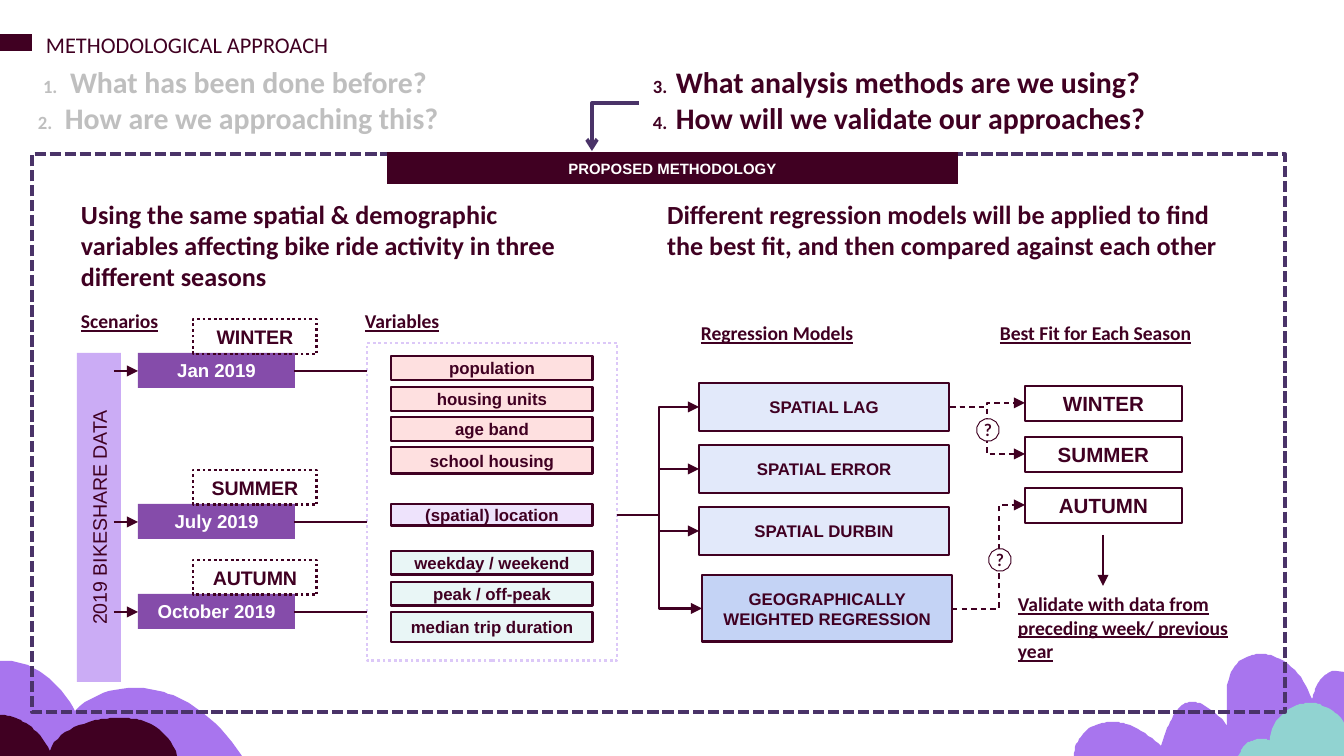
import pptx
import pptx.util
from lxml import etree
from pptx.dml.color import RGBColor
from pptx.enum.dml import MSO_LINE
from pptx.enum.shapes import MSO_CONNECTOR, MSO_SHAPE
from pptx.enum.text import MSO_ANCHOR, MSO_AUTO_SIZE, PP_ALIGN
from pptx.oxml.ns import qn

PX = 914400 / 134.4
COLORS = {
    "ink": "400022", "white": "FFFFFF", "muted": "BFBFBF", "indigo": "4A3368",
    "lilac": "A875EE", "teal": "91D3D1", "data": "CBACF5", "month": "854CAA",
    "outline": "DCC8F8", "pink": "FEE0E0", "mint": "E9F6F6", "lavender": "EEE3FC",
    "model": "E2E9FA", "chosen": "C4D3F5",
}

# Clouds: a start, then corners (x, y) or Bezier curves (control, control, end)
CLOUDS = [
    ("lilac", [(0, 661), (0, 756), (242, 756),
               ((226, 732), (207, 712), (181, 699)), ((168, 692), (151, 688), (134, 688)),
               ((113, 688), (91, 694), (75, 711)), ((67, 696), (56, 683), (42, 673)),
               ((31, 665), (17, 661), (5, 661))]),
    ("lilac", [(1261, 654), ((1269, 654), (1277, 657), (1284, 661)),
               ((1297, 669), (1306, 684), (1312, 699)), ((1314, 692), (1316, 685), (1320, 680)),
               ((1324, 675), (1329, 671), (1336, 671)), (1344, 672), (1344, 756), (1074, 756),
               ((1074, 745), (1079, 737), (1087, 730)), ((1094, 724), (1103, 722), (1113, 722)),
               ((1118, 722), (1122, 723), (1126, 724)), ((1140, 728), (1151, 737), (1161, 746)),
               ((1164, 735), (1168, 726), (1173, 716)), ((1177, 710), (1181, 704), (1187, 703)),
               ((1192, 701), (1197, 702), (1202, 704)), ((1212, 710), (1221, 716), (1227, 726)),
               ((1227, 715), (1226, 703), (1227, 692)), ((1227, 681), (1231, 669), (1239, 661)),
               ((1246, 657), (1253, 654), (1261, 654))]),
    ("ink", [(0, 715), (0, 756), (177, 756),
             ((173, 739), (159, 726), (141, 720)), ((134, 719), (128, 718), (120, 718)),
             ((109, 718), (98, 719), (89, 722)), ((73, 727), (55, 735), (50, 751)),
             ((44, 739), (36, 730), (26, 723)), ((17, 718), (9, 715), (0, 715))]),
    ("teal", [(1310, 703), ((1305, 703), (1299, 704), (1293, 707)),
              ((1279, 714), (1269, 727), (1270, 741)), ((1267, 739), (1265, 739), (1261, 739)),
              ((1257, 739), (1251, 741), (1247, 743)), ((1243, 746), (1241, 751), (1238, 756)),
              (1344, 756), (1344, 723), ((1340, 715), (1332, 709), (1322, 706)),
              ((1320, 704), (1316, 703), (1310, 703))]),
]

# number, question, left margin of the question, hanging width of the number
DONE_QUESTIONS = [("1.", "What has been done before?", 41, 27),
                  ("2.", "How are we approaching this?", 36, 27)]
OPEN_QUESTIONS = [("3.", "What analysis methods are we using?", 33, 23),
                  ("4.", "How will we validate our approaches?", 33, 23)]

# text, left, top, width, size, bold, underlined
NOTES = [
    ("METHODOLOGICAL APPROACH", 46, 31, 600, 12, False, False),
    ("Using the same spatial & demographic variables affecting bike ride activity in three "
     "different seasons", 81, 198, 498, 14, True, False),
    ("Different regression models will be applied to find the best fit, and then compared "
     "against each other", 667, 198, 564, 14, True, False),
    ("Scenarios", 81, 309, 120, 10.5, True, True),
    ("Variables", 365, 309, 250, 10.5, True, True),
    ("Regression Models", 701, 321, 250, 10.5, True, True),
    ("Best Fit for Each Season", 1000, 321, 240, 10.5, True, True),
    ("Validate with data from preceding week/ previous year", 1018, 592, 213, 10.5, True, True),
]

SCENARIOS = [("WINTER", "Jan 2019", 353), ("SUMMER", "July 2019", 504),
             ("AUTUMN", "October 2019", 594)]
VARIABLES = [  # text, top, height, fill
    ("population", 356, 24, "pink"), ("housing units", 387, 24, "pink"),
    ("age band", 417, 24, "pink"), ("school housing", 447, 27, "pink"),
    ("(spatial) location", 504, 22, "lavender"), ("weekday / weekend", 551, 24, "mint"),
    ("peak / off-peak", 582, 24, "mint"), ("median trip duration", 612, 30, "mint"),
]
MODELS = [  # text, left, top, height, fill
    ("SPATIAL LAG", 699, 383, 48, "model"), ("SPATIAL ERROR", 699, 445, 48, "model"),
    ("SPATIAL DURBIN", 699, 507, 48, "model"),
    ("GEOGRAPHICALLY WEIGHTED REGRESSION", 702, 575, 67, "chosen"),
]
BEST_FITS = [("WINTER", 386), ("SUMMER", 437), ("AUTUMN", 488)]
MODEL_FITS = [(950, 407, 403, 987), (950, 407, 454, 987), (952, 609, 505, 999)]
DOUBTS = [(977, 419), (989, 549)]

deck = pptx.Presentation()


def px(length):
    return pptx.util.Emu(round(length * PX))


deck.slide_width, deck.slide_height = px(1344), px(756)
slide = deck.slides.add_slide(deck.slide_layouts[5])
shapes = slide.shapes


def rgb(name):
    return RGBColor.from_string(COLORS[name])


def style_font(font, name, size, color, bold=True, underline=False):
    font.name, font.bold = name, bold
    font.color.rgb = rgb(color)
    if size:
        font.size = pptx.util.Pt(size)
    if underline:
        font.underline = True


def style_line(line, color, width, dash=None, head=None):
    line.color.rgb = rgb(color)
    line.width = pptx.util.Pt(width)
    if dash:
        line.dash_style = dash
    if head:
        etree.SubElement(line._get_or_add_ln(), qn("a:tailEnd"), type=head)


def frame_text(shape, anchor):
    frame = shape.text_frame
    frame.auto_size, frame.word_wrap, frame.vertical_anchor = MSO_AUTO_SIZE.NONE, True, anchor
    frame.margin_left = frame.margin_right = frame.margin_top = frame.margin_bottom = 0
    return frame


def box(left, top, width, height, fill=None, line=None, text="", size=9, color="ink",
        font="Arial", bold=True, kind=MSO_SHAPE.RECTANGLE):
    """Add a shape; line is (color, width, dash)."""
    shape = shapes.add_shape(kind, px(left), px(top), px(width), px(height))
    shape.shadow.inherit = False
    if fill:
        shape.fill.solid()
        shape.fill.fore_color.rgb = rgb(fill)
    else:
        shape.fill.background()
    if line:
        style_line(shape.line, *line)
    else:
        shape.line.fill.background()
    if text:
        paragraph = frame_text(shape, MSO_ANCHOR.MIDDLE).paragraphs[0]
        paragraph.text, paragraph.alignment = text, PP_ALIGN.CENTER
        style_font(paragraph.font, font, size, color, bold)
    return shape


def connect(x1, y1, x2, y2, bend=None, width=1.5, dash=None, head="triangle"):
    """Join two points, straight or with an elbow whose upright is at x = bend."""
    kind = MSO_CONNECTOR.ELBOW if bend else MSO_CONNECTOR.STRAIGHT
    link = shapes.add_connector(kind, px(x1), px(y1), px(x2), px(y2))
    style_line(link.line, "ink", width, dash, head)
    etree.SubElement(link.element.spPr, qn("a:effectLst"))
    if bend:
        share = round((bend - x1) / (x2 - x1) * 100000)
        guides = link.element.spPr.find(qn("a:prstGeom")).get_or_add_avLst()
        etree.SubElement(guides, qn("a:gd"), name="adj1", fmla=f"val {share}")


def freeform(points, closed):
    builder = shapes.build_freeform(*points[0], scale=PX)
    builder.add_line_segments(points[1:], close=closed)
    shape = builder.convert_to_shape()
    shape.shadow.inherit = False
    return shape


def flatten(outline, steps=10):
    """Turn corners and Bezier curves into a list of points."""
    points = [outline[0]]
    for part in outline[1:]:
        if len(part) == 2:
            points.append(part)
            continue
        curve = (points[-1], *part)
        for t in (step / steps for step in range(1, steps + 1)):
            weights = ((1 - t) ** 3, 3 * t * (1 - t) ** 2, 3 * t * t * (1 - t), t ** 3)
            points.append(tuple(sum(w * p[axis] for w, p in zip(weights, curve))
                                for axis in (0, 1)))
    return points


def write_questions(shape, left, questions, color):
    shape.left, shape.top, shape.width, shape.height = px(left), px(64), px(652), px(76)
    frame = frame_text(shape, MSO_ANCHOR.TOP)
    for index, (number, question, margin, hanging) in enumerate(questions):
        paragraph = frame.add_paragraph() if index else frame.paragraphs[0]
        paragraph.alignment, paragraph.line_spacing = PP_ALIGN.LEFT, 1.0
        properties = paragraph._p.get_or_add_pPr()
        properties.set("marL", str(px(margin)))
        properties.set("indent", str(-px(hanging)))
        style_font(paragraph.font, "Calibri", None, color)
        for text, size in ((number + "\t", 10), (question, 16)):
            run = paragraph.add_run()
            run.text, run.font.size = text, pptx.util.Pt(size)


for color, outline in CLOUDS:
    cloud = freeform(flatten(outline), True)
    cloud.fill.solid()
    cloud.fill.fore_color.rgb = rgb(color)
    cloud.line.fill.background()

write_questions(shapes.title, 29, DONE_QUESTIONS, "muted")
write_questions(shapes.add_textbox(0, 0, 0, 0), 643, OPEN_QUESTIONS, "ink")
box(0, 34, 32, 17, "ink")
box(32, 154, 1253, 558, line=("indigo", 2, MSO_LINE.DASH))
shapes[-1].line._get_or_add_ln().find(qn("a:prstDash")).set("val", "sysDash")
box(387, 152, 571, 32, "ink", text="PROPOSED METHODOLOGY", size=8, color="white")
pointer = freeform([(639, 103), (592, 103), (592, 151)], False)
pointer.fill.background()
style_line(pointer.line, "indigo", 2, head="arrow")

for text, left, top, width, size, bold, underline in NOTES:
    note = shapes.add_textbox(px(left), px(top), px(width), px(30))
    paragraph = frame_text(note, MSO_ANCHOR.TOP).paragraphs[0]
    paragraph.text = text
    style_font(paragraph.font, "Calibri", size, "ink", bold, underline)

data_bar = box(77, 353, 44, 329, "data", text="2019 BIKESHARE DATA", size=10.5, bold=False)
data_bar.text_frame._txBody.bodyPr.set("vert", "vert270")
box(367, 343, 250, 318, line=("outline", 1.5, MSO_LINE.ROUND_DOT))
for season, month, top in SCENARIOS:
    box(138, top, 157, 35, "month", text=month, size=10, color="white")
    box(193, top - 34, 124, 35, line=("ink", 1.5, MSO_LINE.ROUND_DOT), text=season, size=10.5)
    connect(114, top + 18, 138, top + 18)
    connect(294, top + 18, 367, top + 18, head=None)
for text, top, height, fill in VARIABLES:
    box(391, top, 202, height, fill, ("ink", 1.5), text)
for text, left, top, height, fill in MODELS:
    box(left, top, 250, height, fill, ("ink", 1.5), text)
    connect(617, 515, left, top + height / 2, bend=659)
for season, top in BEST_FITS:
    box(1025, top, 157, 35, line=("ink", 1.5), text=season, size=11)
for left, start, end, bend in MODEL_FITS:
    connect(left, start, 1025, end, bend, 0.75, MSO_LINE.DASH)
connect(1103, 535, 1103, 586)
for left, top in DOUBTS:
    box(left, top, 22, 22, "white", ("ink", 0.5), "?", font="Lato", kind=MSO_SHAPE.DODECAGON)

deck.save("out.pptx")
